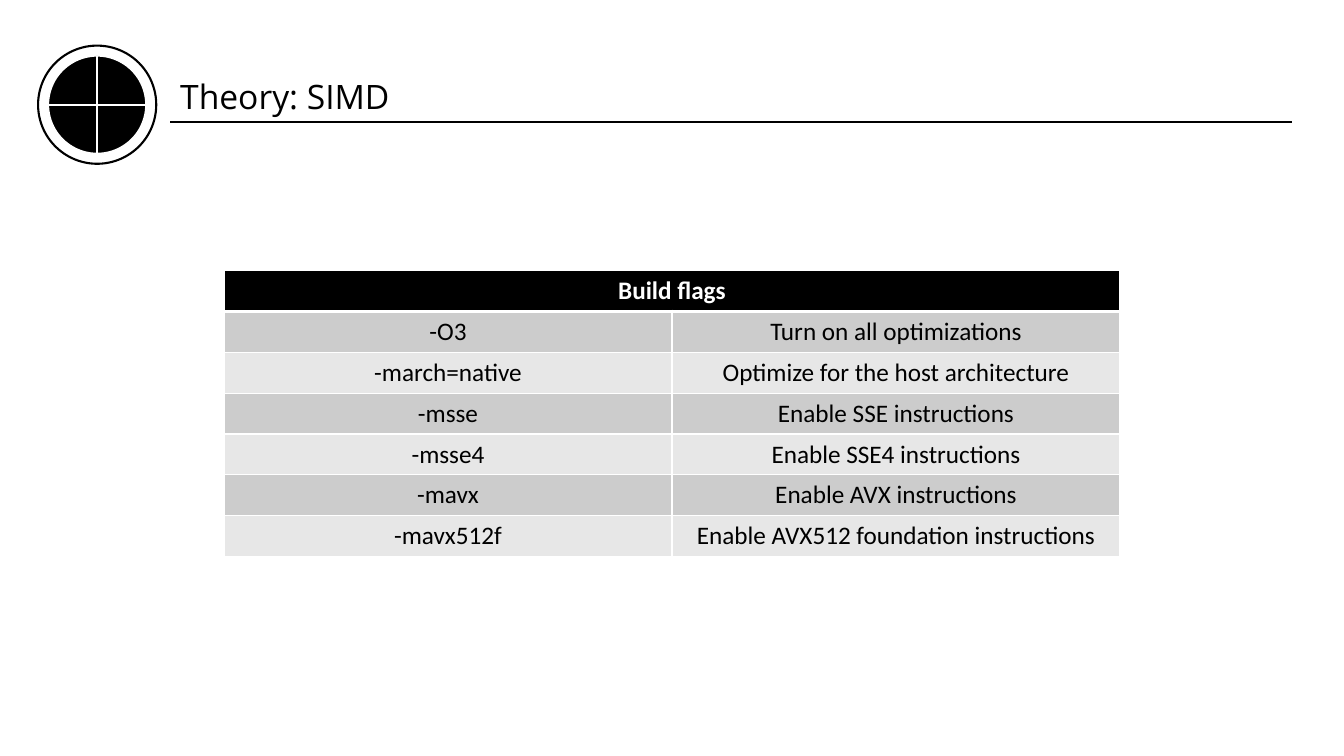
from lxml.etree import SubElement
from pptx import Presentation
from pptx.dml.color import RGBColor
from pptx.enum.shapes import MSO_CONNECTOR as Link, MSO_SHAPE as Form
from pptx.enum.text import MSO_AUTO_SIZE as Fit, PP_ALIGN as Align
from pptx.oxml.ns import qn
from pptx.util import Inches, Pt

BLACK = RGBColor(0x00, 0x00, 0x00)
WHITE = RGBColor(0xFF, 0xFF, 0xFF)
DARK = RGBColor(0xCC, 0xCC, 0xCC)
LIGHT = RGBColor(0xE7, 0xE7, 0xE7)

COLS, ROWS = 48, 27
WIDE, HIGH = Inches(13.33), Inches(7.5)
HEAD = "Build flags"
FLAGS = [
    ("-O3", "Turn on all optimizations"),
    ("-march=native", "Optimize for the host architecture"),
    ("-msse", "Enable SSE instructions"),
    ("-msse4", "Enable SSE4 instructions"),
    ("-mavx", "Enable AVX instructions"),
    ("-mavx512f", "Enable AVX512 foundation instructions"),
]


def grid(*units):
    sides = (WIDE / COLS, HIGH / ROWS)
    return [round(unit * sides[i % 2]) for i, unit in enumerate(units)]


def write(frame, text, size=18, font="Calibri", color=BLACK, bold=False, align=Align.LEFT):
    para = frame.paragraphs[0]
    para.alignment = align
    run = para.add_run()
    run.text = text
    run.font.size = Pt(size)
    run.font.name = font
    run.font.bold = bold
    run.font.color.rgb = color


def add_line(slide, start, end, color):
    line = slide.shapes.add_connector(Link.STRAIGHT, *grid(*start, *end))
    line.line.color.rgb = color
    line.line.width = Pt(1.5)
    SubElement(line._element.spPr, qn("a:effectLst"))


def add_disk(slide, x, y, size, fill, edge, width):
    disk = slide.shapes.add_shape(Form.OVAL, *grid(x - size / 2, y - size / 2, size, size))
    disk.shadow.inherit = False
    if fill is None:
        disk.fill.background()
    else:
        disk.fill.solid()
        disk.fill.fore_color.rgb = fill
    disk.line.color.rgb = edge
    disk.line.width = Pt(width)


def add_emblem(slide, x, y, inner, outer):
    half = inner / 2
    add_disk(slide, x, y, inner, BLACK, WHITE, 1)
    add_line(slide, (x - half, y), (x + half, y), WHITE)
    add_line(slide, (x, y - half), (x, y + half), WHITE)
    add_disk(slide, x, y, outer, None, BLACK, 1.5)


def add_title(slide, text):
    box = slide.shapes.add_textbox(*grid(6.08, 2.54, 16.45, 1.8))
    box.text_frame.word_wrap = True
    box.text_frame.auto_size = Fit.SHAPE_TO_FIT_TEXT
    write(box.text_frame, text, size=24, font="Open Sans")
    add_line(slide, (6.08, 4.36), (46.15, 4.36), BLACK)


def set_edges(cell, base):
    props = cell._tc.get_or_add_tcPr()
    for i, (side, width) in enumerate(zip("LRTB", (1, 1, 1, base))):
        edge = props.makeelement(qn("a:ln" + side), {"w": str(Pt(width))})
        fill = SubElement(edge, qn("a:solidFill"))
        SubElement(fill, qn("a:srgbClr"), val=str(WHITE))
        props.insert(i, edge)


def fill_cell(cell, text, fill, base=1, **style):
    cell.fill.solid()
    cell.fill.fore_color.rgb = fill
    set_edges(cell, base)
    if text:
        write(cell.text_frame, text, align=Align.CENTER, **style)


def add_flags(slide):
    count = len(FLAGS) + 1
    place = grid(8, 9.66, 32, 1.46 * count)
    table = slide.shapes.add_table(count, 2, *place).table
    for cell, text in zip(table.rows[0].cells, (HEAD, "")):
        fill_cell(cell, text, BLACK, base=3, color=WHITE, bold=True)
    table.cell(0, 0).merge(table.cell(0, 1))
    for i, pair in enumerate(FLAGS):
        for cell, text in zip(table.rows[i + 1].cells, pair):
            fill_cell(cell, text, LIGHT if i % 2 else DARK)


def main():
    deck = Presentation()
    deck.slide_width, deck.slide_height = WIDE, HIGH
    slide = deck.slides.add_slide(deck.slide_layouts[6])
    add_title(slide, "Theory: SIMD")
    add_emblem(slide, 3.47, 3.74, 3.48, 4.22)
    add_flags(slide)
    deck.save("out.pptx")


main()
